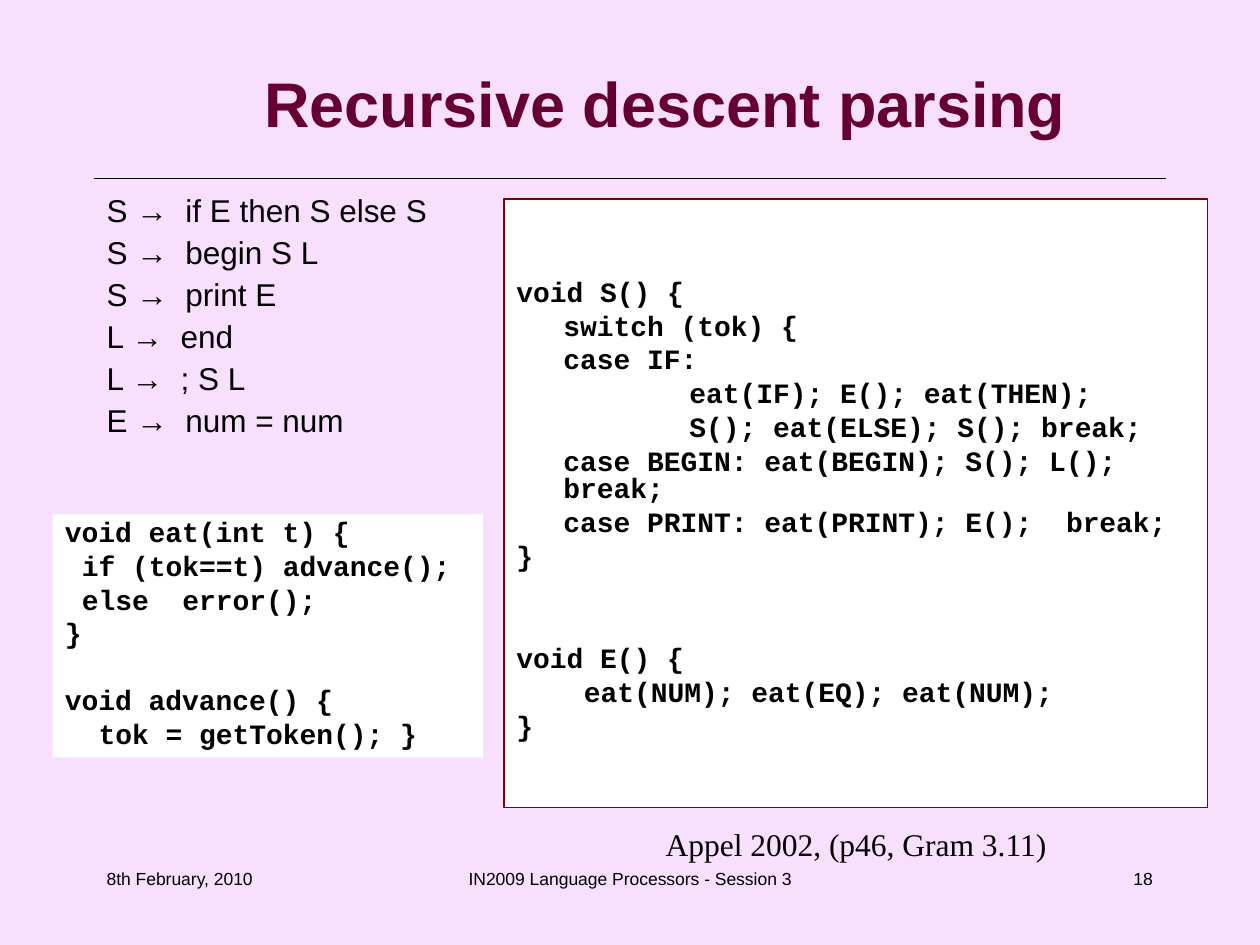
from lxml import etree
from pptx import Presentation
from pptx.dml.color import RGBColor
from pptx.enum.shapes import MSO_CONNECTOR, MSO_SHAPE
from pptx.enum.text import MSO_ANCHOR, PP_ALIGN
from pptx.oxml.ns import qn
from pptx.util import Cm, Pt

LEFT, CENTER, RIGHT = PP_ALIGN.LEFT, PP_ALIGN.CENTER, PP_ALIGN.RIGHT
TOP, MIDDLE = MSO_ANCHOR.TOP, MSO_ANCHOR.MIDDLE
RECTANGLE, STRAIGHT = MSO_SHAPE.RECTANGLE, MSO_CONNECTOR.STRAIGHT

COLORS = {"background": "F7DFFD", "title": "660033", "text": "000000",
          "panel": "FFFFFF", "border": "800000"}
SANS, SERIF, MONO = "Arial", "Times New Roman", "Courier New"
CHAR = 0.34          # width of one code character in cm
CASE = 0.95          # indent of the switch body in cm
ACTION = CASE + 2.54  # indent of the statements below a case in cm
LINE_GAP = 4         # space above each code line in points

GRAMMAR = ["S →  if E then S else S", "S →  begin S L", "S →  print E",
           "L →  end", "L →  ; S L", "E →  num = num"]

# Code lines: text, indent in cm, space above in points
STATEMENT_CODE = [
    ("void S() {", 0, LINE_GAP),
    ("switch (tok) {", CASE, LINE_GAP),
    ("case IF:", CASE, LINE_GAP),
    ("eat(IF); E(); eat(THEN);", ACTION, LINE_GAP),
    ("S(); eat(ELSE); S(); break;", ACTION, LINE_GAP),
    ("case BEGIN: eat(BEGIN); S(); L(); break;", CASE, LINE_GAP),
    ("case PRINT: eat(PRINT); E();  break;", CASE, LINE_GAP),
    ("}", 0, LINE_GAP),
    ("void E() {", 0, 43),
    ("eat(NUM); eat(EQ); eat(NUM);", 4 * CHAR, LINE_GAP),
    ("}", 0, LINE_GAP),
]
TOKEN_CODE = [
    ("void eat(int t) {", 0, LINE_GAP),
    ("if (tok==t) advance();", CHAR, LINE_GAP),
    ("else  error();", CHAR, LINE_GAP),
    ("}", 0, LINE_GAP),
    ("void advance() {", 0, 22.5),
    ("tok = getToken(); }", 2 * CHAR, LINE_GAP),
]


def rgb(name):
    """Return the named colour."""
    return RGBColor.from_string(COLORS[name])


class SlideBuilder:
    """Holds the slide and its style, and adds elements to it."""

    def __init__(self, slide):
        """Keep the slide and paint its background."""
        self.slide = slide
        slide.background.fill.solid()
        slide.background.fill.fore_color.rgb = rgb("background")

    def rule(self, left, right, y):
        """Add a thin horizontal line."""
        rule = self.slide.shapes.add_connector(
            STRAIGHT, Cm(left), Cm(y), Cm(right), Cm(y))
        rule.line.width = Pt(0.74)
        rule.line.color.rgb = rgb("text")
        etree.SubElement(rule._element.spPr, qn("a:effectLst"))

    def fill_lines(self, shape, lines, size, font=SANS, bold=False,
                   color="text", align=LEFT, anchor=TOP, spacing=1.0,
                   top_inset=0.13):
        """Fill a shape with lines of (text, indent, space above)."""
        frame = shape.text_frame
        frame.word_wrap = True
        frame.vertical_anchor = anchor
        frame.margin_left = frame.margin_right = Cm(0.25)
        frame.margin_top, frame.margin_bottom = Cm(top_inset), Cm(0.13)
        for number, (text, indent, above) in enumerate(lines):
            paragraph = frame.add_paragraph() if number else frame.paragraphs[0]
            paragraph.text = text
            paragraph.alignment = align
            paragraph.line_spacing = spacing
            paragraph.space_before = Pt(above)
            if indent:
                properties = paragraph._p.get_or_add_pPr()
                properties.set("marL", str(Cm(indent)))
                properties.set("indent", "0")
            paragraph.font.name = font
            paragraph.font.size = Pt(size)
            paragraph.font.bold = bold
            paragraph.font.color.rgb = rgb(color)

    def text(self, box, lines, size, **style):
        """Add a text box; box is left, top, width, height in cm."""
        shape = self.slide.shapes.add_textbox(*map(Cm, box))
        self.fill_lines(shape, lines, size, **style)

    def code(self, box, lines, border=None, top_inset=0.13):
        """Add a white panel of program code."""
        panel = self.slide.shapes.add_shape(RECTANGLE, *map(Cm, box))
        panel.shadow.inherit = False
        panel.fill.solid()
        panel.fill.fore_color.rgb = rgb("panel")
        if border:
            panel.line.color.rgb = rgb(border)
            panel.line.width = Pt(0.74)
        else:
            panel.line.fill.background()
        self.fill_lines(panel, lines, 16, font=MONO, bold=True, spacing=0.8,
                        top_inset=top_inset)


presentation = Presentation()
presentation.slide_width, presentation.slide_height = Cm(25.4), Cm(19.05)
builder = SlideBuilder(
    presentation.slides.add_slide(presentation.slide_layouts[6]))

builder.rule(1.9, 23.5, 3.6)
builder.text((2.74, 0.84, 21.34, 2.44), [("Recursive descent parsing", 0, 0)],
             36, bold=True, color="title", align=CENTER, anchor=MIDDLE)
builder.text((1.9, 3.81, 10.57, 6.78),
             [(production, 0, 4.5) for production in GRAMMAR],
             18, spacing=0.9)
builder.code((10.16, 4.01, 14.18, 12.27), STATEMENT_CODE, border="border",
             top_inset=1.65)
builder.text((13.13, 16.51, 8.26, 1.02),
             [("Appel 2002, (p46, Gram 3.11)", 0, 11.2)],
             18, font=SERIF, align=CENTER)
builder.code((1.06, 10.37, 8.68, 4.9), TOKEN_CODE)

for left, width, footer, align in [
        (1.9, 5.29, "8th February, 2010", LEFT),
        (8.68, 8.04, "IN2009 Language Processors - Session 3", CENTER),
        (18.2, 5.29, "18", RIGHT)]:
    builder.text((left, 17.36, width, 1.27), [(footer, 0, 0)], 10, align=align)

presentation.save("out.pptx")
